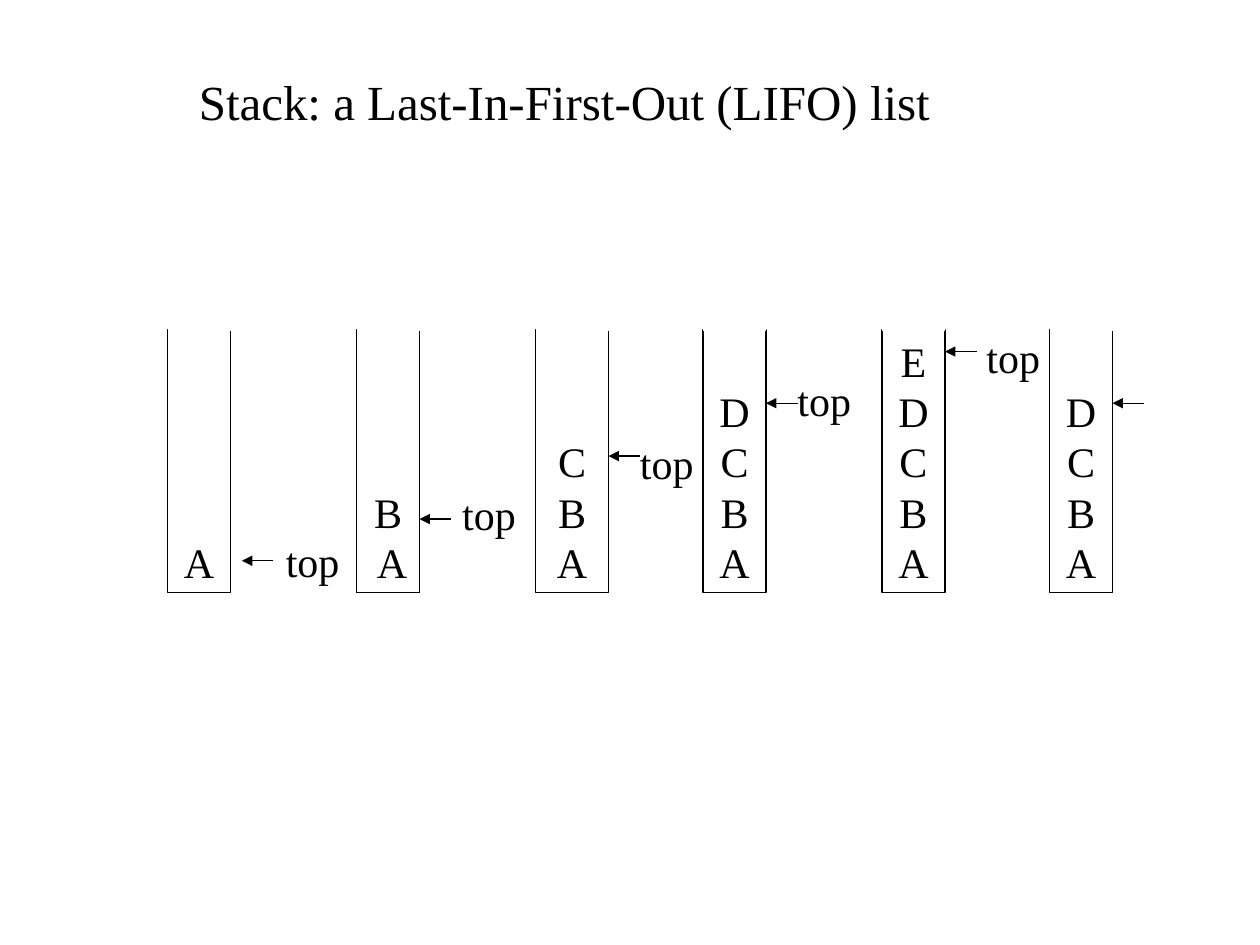
from lxml.etree import SubElement
from pptx import Presentation
from pptx.dml.color import RGBColor
from pptx.enum.shapes import MSO_CONNECTOR as Connector, MSO_SHAPE as Shape
from pptx.enum.text import MSO_ANCHOR as Anchor, MSO_AUTO_SIZE as AutoSize, PP_ALIGN as Align
from pptx.oxml.ns import qn
from pptx.util import Inches, Pt

BLACK = RGBColor(0, 0, 0)
WHITE = RGBColor(255, 255, 255)
FONT = "Times New Roman"

STACK_TOP = 2.62
STACK_HEIGHT = 2.08
ARROW_LENGTH = 0.25

STACKS = [
    dict(left=1.33, items=["A"], arrow_y=4.45, arrow_gap=0.09, label=(2.17, 4.2)),
    dict(left=2.83, items=["B", " A"], arrow_y=4.12, label=(3.57, 3.83)),
    dict(left=4.25, items="CBA", arrow_y=3.62, width=0.58, label=(4.98, 3.42)),
    dict(left=5.58, items="DCBA", arrow_y=3.2, label=(6.23, 2.92)),
    dict(left=7, items="EDCBA", arrow_y=2.79, label=(7.73, 2.58)),
    dict(left=8.33, items="DCBA", arrow_y=3.2),
]


def write(frame, lines, size=24, align=Align.LEFT, anchor=Anchor.TOP):
    frame.word_wrap = False
    frame.vertical_anchor = anchor
    for index, line in enumerate(lines):
        paragraph = frame.paragraphs[0] if index == 0 else frame.add_paragraph()
        paragraph.alignment = align
        run = paragraph.add_run()
        run.text = line
        run.font.name = FONT
        run.font.size = Pt(size)
        run.font.color.rgb = BLACK


class StackSlide:
    line_width = Pt(0.75)

    def __init__(self, slide):
        self.shapes = slide.shapes

    def text(self, content, left, top, width, height, size=24):
        box = self.shapes.add_textbox(Inches(left), Inches(top), Inches(width), Inches(height))
        write(box.text_frame, [content], size=size)
        box.text_frame.auto_size = AutoSize.SHAPE_TO_FIT_TEXT

    def line(self, start, end, color=BLACK, arrow=False):
        connector = self.shapes.add_connector(
            Connector.STRAIGHT, *(Inches(value) for value in (*start, *end)))
        connector.line.color.rgb = color
        connector.line.width = self.line_width
        if arrow:
            SubElement(connector.line._get_or_add_ln(), qn("a:tailEnd"), type="triangle")
        SubElement(connector._element.spPr, qn("a:effectLst"))

    def container(self, items, left, width):
        body = self.shapes.add_shape(
            Shape.RECTANGLE, Inches(left), Inches(STACK_TOP), Inches(width), Inches(STACK_HEIGHT))
        body.shadow.inherit = False
        body.fill.background()
        body.line.color.rgb = BLACK
        body.line.width = self.line_width
        body.text_frame.margin_bottom = Inches(0.04)
        write(body.text_frame, items, align=Align.CENTER, anchor=Anchor.BOTTOM)
        self.line((left, STACK_TOP), (left + width, STACK_TOP), color=WHITE)

    def stack(self, left, items, arrow_y, width=0.5, arrow_gap=0, label=None):
        self.container(items, left, width)
        tip = left + width + arrow_gap
        self.line((tip + ARROW_LENGTH, arrow_y), (tip, arrow_y), arrow=True)
        if label:
            self.text("top", *label, 0.65, 0.5)


def main():
    deck = Presentation()
    deck.slide_width, deck.slide_height = Inches(10), Inches(7.5)
    page = StackSlide(deck.slides.add_slide(deck.slide_layouts[6]))
    page.text("Stack: a Last-In-First-Out (LIFO) list", 1.48, 0.52, 6.1, 0.57, size=28)
    for stack in STACKS:
        page.stack(**stack)
    deck.save("out.pptx")


if __name__ == "__main__":
    main()
